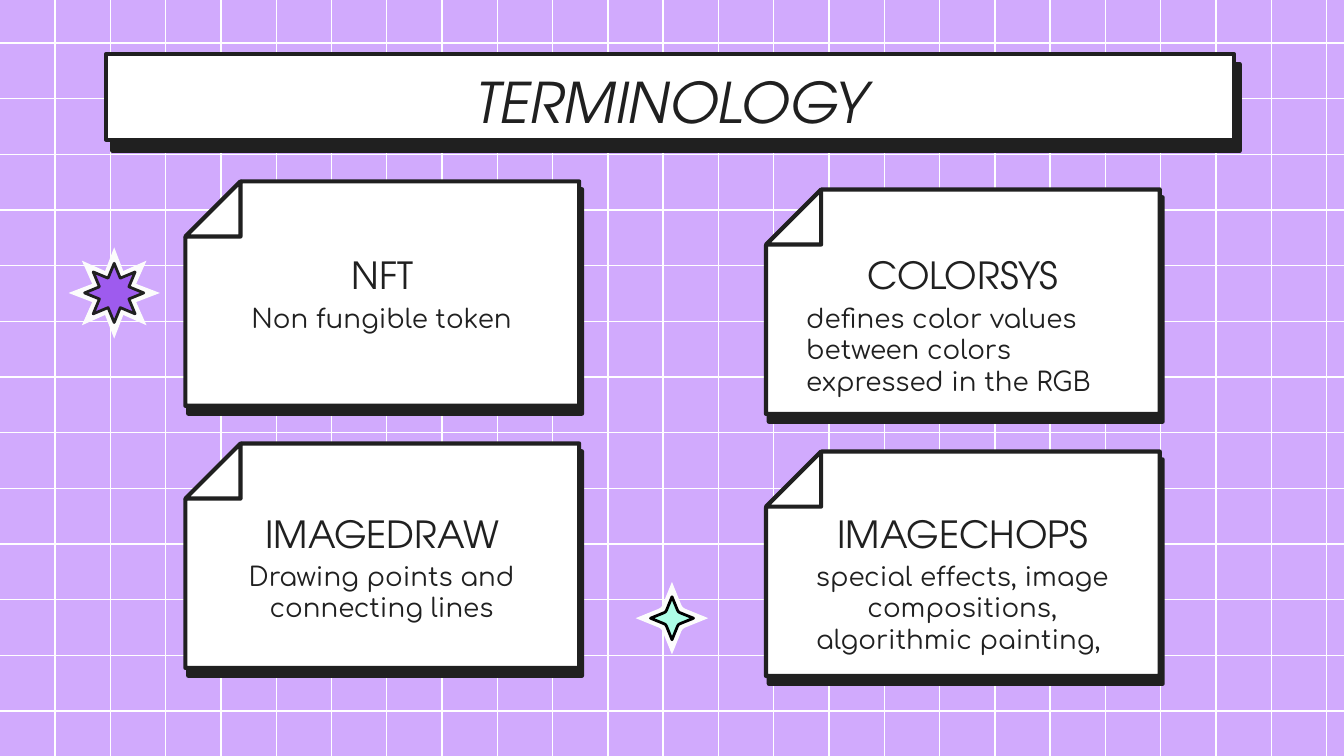
from lxml.etree import SubElement
from pptx import Presentation
from pptx.dml.color import RGBColor
from pptx.enum.shapes import MSO_CONNECTOR as CONN, MSO_SHAPE as SHAPE
from pptx.enum.text import MSO_ANCHOR as ANCHOR, PP_ALIGN as ALIGN
from pptx.oxml.ns import qn
from pptx.util import Inches, Pt

INK, WHITE, HALO = "202020", "FFFFFF", "FCFCFC"
HEAD_FONT, BODY_FONT = "TeX Gyre Adventor", "Comfortaa"
W = 10
H = W * 9 / 16

TITLE = "TERMINOLOGY"
COLUMNS = [
    (1.38, 1.35, [
        ("NFT", "Non fungible token", ALIGN.CENTER),
        ("IMAGEDRAW", "Drawing points and connecting lines", ALIGN.CENTER),
    ]),
    (5.7, 1.41, [
        ("COLORSYS", "defines color values between colors expressed in the RGB", ALIGN.LEFT),
        ("IMAGECHOPS", "special effects, image compositions, algorithmic painting, ", ALIGN.CENTER),
    ]),
]
CARD_W, CARD_H, CARD_PITCH, FOLD = 2.93, 1.67, 1.95, 0.41
TEXT_TOP, TEXT_PITCH, HEAD_H = 1.78, 1.92, 0.37

GRID_Y = (0.32, 5.29, 13)
GRID_X = (0.41, 9.87, 24)

BURST = (0.85, 2.18)
BURST_LAYERS = [(0.34, 0.26, HALO, None), (0.22, 0.27, "9E5BEE", INK)]
SPARKLE = (5, 4.6)
SPARKLE_LAYERS = [(0.27, HALO, None), (0.16, "ADFEE7", "000000")]
SPARKLE_ARM = [(0, -1), (-0.22, -0.46), (-0.26, -0.36),
               (-0.3, -0.3), (-0.36, -0.26), (-0.46, -0.22)]


def rgb(value):
    return RGBColor.from_string(value)


def spread(first, last, count):
    return [first + (last - first) * i / (count - 1) for i in range(count)]


def paint(sp, fill, line=None, width=2.25):
    sp.shadow.inherit = False
    sp.fill.solid()
    sp.fill.fore_color.rgb = rgb(fill)
    if line:
        sp.line.color.rgb = rgb(line)
        sp.line.width = Pt(width)
        SubElement(sp._element.spPr.find(qn("a:ln")), qn("a:round"))
    else:
        sp.line.fill.background()


def add_shape(s, kind, x, y, w, h, fill, line=None, width=2.25):
    sp = s.shapes.add_shape(kind, Inches(x), Inches(y), Inches(w), Inches(h))
    paint(sp, fill, line, width)
    return sp


def mirror(sp):
    sp._element.spPr.find(qn("a:xfrm")).set("flipH", "1")


def hard_shadow(sp, distance, angle):
    effects = sp._element.spPr.find(qn("a:effectLst"))
    shadow = SubElement(effects, qn("a:outerShdw"), dist=str(Pt(distance)),
                        dir=str(angle * 60000), algn="bl", rotWithShape="0")
    SubElement(shadow, qn("a:srgbClr"), val=INK)


def add_text(s, text, x, y, w, h, size, font, align=ALIGN.CENTER, italic=False):
    tf = s.shapes.add_textbox(Inches(x), Inches(y), Inches(w), Inches(h)).text_frame
    tf.word_wrap = True
    tf.vertical_anchor = ANCHOR.TOP
    tf.margin_left = tf.margin_right = tf.margin_top = tf.margin_bottom = Inches(0.1)
    p = tf.paragraphs[0]
    p.alignment = align
    r = p.add_run()
    r.text = text
    r.font.size = Pt(size)
    r.font.name = font
    r.font.italic = italic
    r.font.color.rgb = rgb(INK)


def add_grid(s):
    lines = [(0, y, W, y) for y in spread(*GRID_Y)]
    lines += [(x, 0, x, H) for x in spread(*GRID_X)]
    for ends in lines:
        cn = s.shapes.add_connector(CONN.STRAIGHT, *[Inches(v) for v in ends])
        cn.line.color.rgb = rgb(WHITE)
        cn.line.width = Pt(0.75)
        SubElement(cn._element.spPr, qn("a:effectLst"))


def add_card(s, x, y):
    card = add_shape(s, SHAPE.SNIP_1_RECTANGLE, x, y, CARD_W, CARD_H, WHITE, INK)
    card.adjustments[0] = 0.25
    mirror(card)
    hard_shadow(card, 4.5, 70)
    mirror(add_shape(s, SHAPE.RIGHT_TRIANGLE, x, y, FOLD, FOLD, WHITE, INK))


def add_burst(s):
    cx, cy = BURST
    for radius, depth, fill, line in BURST_LAYERS:
        star = add_shape(s, SHAPE.STAR_8_POINT, cx - radius, cy - radius,
                         2 * radius, 2 * radius, fill, line, 1.5)
        star.adjustments[0] = depth


def add_sparkle(s):
    cx, cy = SPARKLE
    outline, arm = [], SPARKLE_ARM
    for _ in range(4):
        outline += arm
        arm = [(y, -x) for x, y in arm]
    for radius, fill, line in SPARKLE_LAYERS:
        points = [(Inches(cx + radius * x), Inches(cy + radius * y)) for x, y in outline]
        fb = s.shapes.build_freeform(*points[0])
        fb.add_line_segments(points[1:], close=True)
        paint(fb.convert_to_shape(), fill, line, 1.5)


def main():
    prs = Presentation()
    prs.slide_width, prs.slide_height = Inches(W), Inches(H)
    s = prs.slides.add_slide(prs.slide_layouts[6])
    s.background.fill.solid()
    s.background.fill.fore_color.rgb = rgb("D1AAFD")

    add_grid(s)
    banner = add_shape(s, SHAPE.RECTANGLE, 0.79, 0.4, 8.39, 0.64, WHITE, INK)
    hard_shadow(banner, 6.7, 60)
    add_text(s, TITLE, 0.79, 0.4, 8.42, 0.63, 30, HEAD_FONT, italic=True)

    for x, top, terms in COLUMNS:
        for row, (term, meaning, align) in enumerate(terms):
            add_card(s, x, top + row * CARD_PITCH)
            y = TEXT_TOP + row * TEXT_PITCH
            add_text(s, term, x + 0.09, y, 2.75, HEAD_H, 20, HEAD_FONT)
            add_text(s, meaning, x + 0.2, y + HEAD_H, 2.52, 0.53, 14, BODY_FONT, align)

    add_burst(s)
    add_sparkle(s)
    prs.save("out.pptx")


if __name__ == "__main__":
    main()
